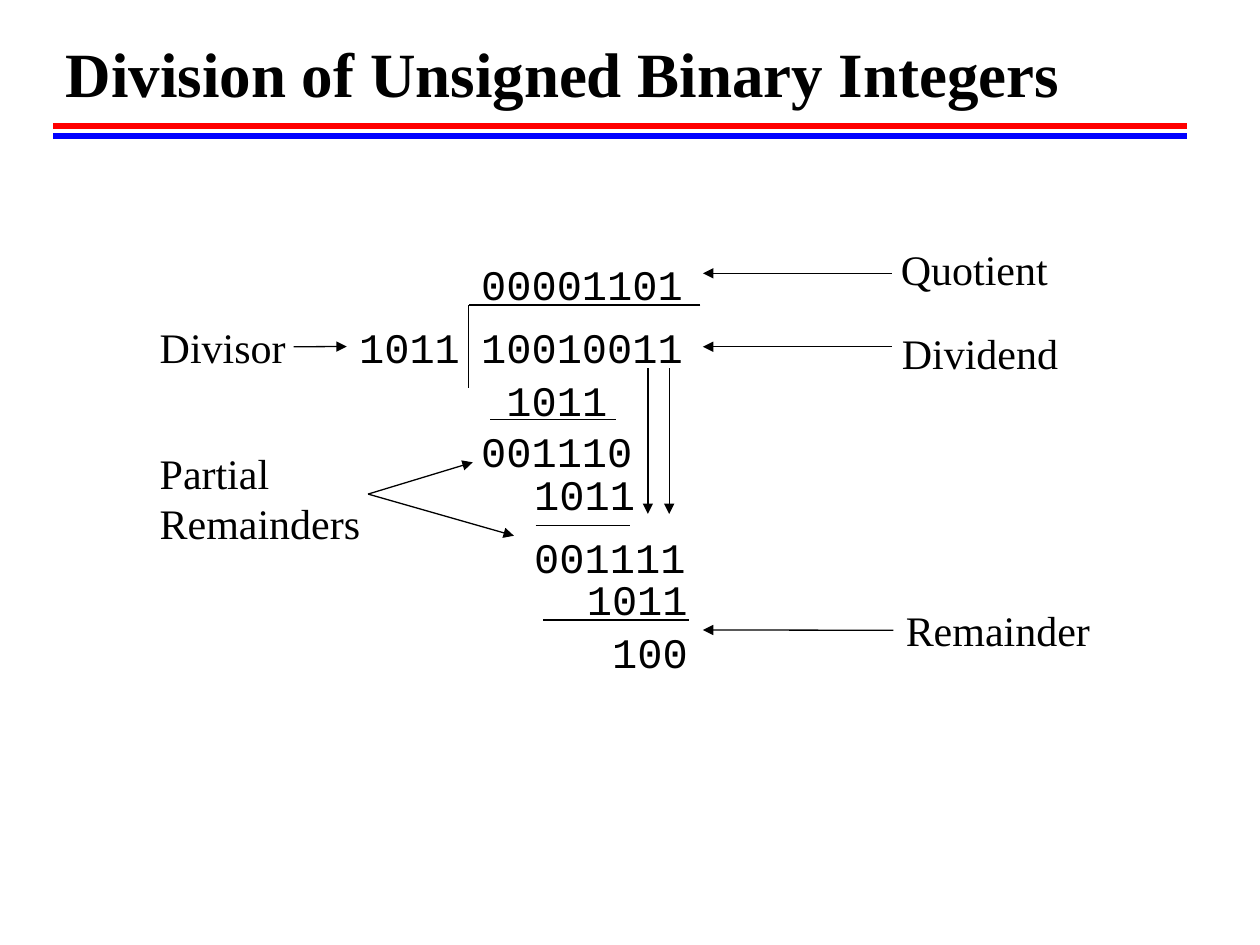
from lxml import etree
from pptx import Presentation, util as u
from pptx.dml.color import RGBColor
from pptx.enum import shapes, text
from pptx.oxml.ns import qn

COLORS = {"ink": "000000", "red": "FF0000", "blue": "0000FF"}
SERIF, MONO = "Times New Roman", "Courier New"

# Content: all positions in cm
TITLE = "Division of Unsigned Binary Integers"
BANNER = [("blue", 2.74), ("red", 2.54)]  # colour, y
DIVISOR = ("1011", 6.99, 6.35)
WORKING = [  # digits, left, top
    ("00001101", 9.45, 5.08),
    ("10010011", 9.45, 6.35),
    ("1011", 9.96, 7.42),
    ("001110", 9.45, 8.46),
    ("1011", 10.52, 9.32),
    ("001111", 10.52, 10.59),
    ("1011", 11.58, 11.43),
    ("100", 12.09, 12.5),
]
LABELS = [  # text, left, top, width
    ("Quotient", 17.91, 4.78, 3.45),
    ("Dividend", 17.93, 6.48, 3.66),
    ("Divisor", 2.97, 6.35, 3.05),
    ("Partial\nRemainders", 2.97, 8.89, 4.55),
]
REMAINDER = ("Remainder", 18.01, 12.07, 4.22)
BRACKET = [(14.12, 6.15), (9.45, 6.15), (9.45, 7.82)]
SUBTRACTION_RULES = [(9.88, 12.42, 8.46), (10.8, 12.7, 10.59),
                     (10.95, 13.89, 12.5)]  # left, right, y
BROUGHT_DOWN = [13.06, 13.49]  # x of each digit brought down
LABEL_ARROW_X = (17.98, 14.17)
QUOTIENT_Y, DIVIDEND_Y, REMAINDER_Y = 5.51, 6.99, 12.7
PARTIAL_START = (7.42, 9.96)
PARTIAL_ENDS = [(9.53, 9.32), (10.36, 10.8)]
DIGIT_WIDTH, INSET, LINE_HEIGHT = 0.51, 0.25, 1.02

prs = Presentation()
prs.slide_width, prs.slide_height = u.Cm(25.4), u.Cm(19.05)
slide = prs.slides.add_slide(prs.slide_layouts[5])


def write(content, left, top, width, height, font=SERIF, size=24, bold=False,
          box=None, anchor=text.MSO_ANCHOR.TOP, wrap=False):
    """Put text in a given placeholder or in a new text box."""
    place = [u.Cm(v) for v in (left, top, width, height)]
    if box is None:
        box = slide.shapes.add_textbox(*place)
    box.left, box.top, box.width, box.height = place
    frame = box.text_frame
    frame.text = content
    frame.word_wrap = wrap
    frame.auto_size = text.MSO_AUTO_SIZE.NONE
    frame.vertical_anchor = anchor
    for paragraph in frame.paragraphs:
        paragraph.alignment = text.PP_ALIGN.LEFT
        paragraph.font.name = font
        paragraph.font.size = u.Pt(size)
        paragraph.font.bold = bold
        paragraph.font.color.rgb = RGBColor.from_string(COLORS["ink"])
    return box


def write_digits(digits, left, top):
    width = len(digits) * DIGIT_WIDTH + 2 * INSET
    return write(digits, left, top, width, 1.27, font=MONO)


def write_label(label, left, top, width):
    lines = label.count("\n") + 1
    return write(label, left, top, width, lines * LINE_HEIGHT + INSET)


def draw_line(start, end, color="ink", width=0.75, arrow=False):
    line = slide.shapes.add_connector(
        shapes.MSO_CONNECTOR.STRAIGHT, *[u.Cm(v) for v in (*start, *end)])
    line.line.color.rgb = RGBColor.from_string(COLORS[color])
    line.line.width = u.Pt(width)
    if arrow:
        etree.SubElement(line.line._get_or_add_ln(), qn("a:tailEnd"),
                         type="triangle")
    etree.SubElement(line._element.spPr, qn("a:effectLst"))
    return line


# Title and double banner line
for color, y in BANNER:
    draw_line((1.07, y), (23.93, y), color=color, width=3)
write(TITLE, 1.07, 0.64, 22.86, 1.7, size=36, bold=True, wrap=True,
      box=slide.shapes.title, anchor=text.MSO_ANCHOR.BOTTOM)

# Long division working
divisor_box = write_digits(*DIVISOR)
for row in WORKING:
    write_digits(*row)
for start, end in zip(BRACKET, BRACKET[1:]):
    draw_line(start, end)
for left, right, y in SUBTRACTION_RULES:
    draw_line((left, y), (right, y))
for x in BROUGHT_DOWN:
    draw_line((x, 7.42), (x, 10.36), arrow=True)

# Labels and their arrows
for label in LABELS:
    write_label(*label)
remainder_box = write_label(*REMAINDER)
arrow_start, arrow_end = LABEL_ARROW_X
for y in (QUOTIENT_Y, DIVIDEND_Y):
    draw_line((arrow_start, y), (arrow_end, y), arrow=True)
remainder_arrow = draw_line((arrow_start, REMAINDER_Y),
                            (arrow_end, REMAINDER_Y), arrow=True)
remainder_arrow.begin_connect(remainder_box, 1)
for end in PARTIAL_ENDS:
    draw_line(PARTIAL_START, end, arrow=True)
divisor_arrow = draw_line((5.92, DIVIDEND_Y), (6.99, DIVIDEND_Y), arrow=True)
divisor_arrow.end_connect(divisor_box, 1)

prs.save("out.pptx")
